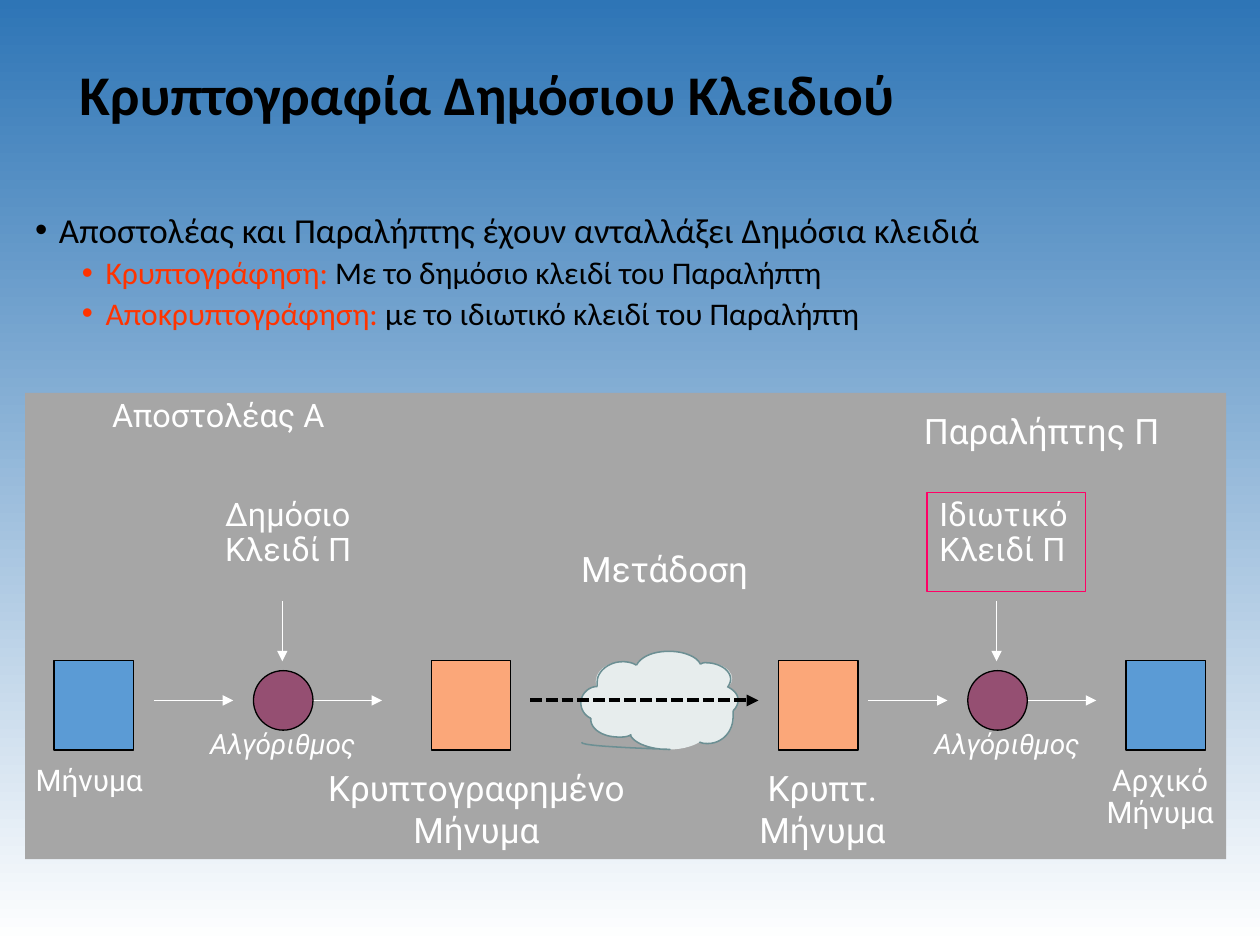
from lxml.etree import SubElement
from pptx import Presentation
from pptx.dml.color import RGBColor
from pptx.enum.dml import MSO_LINE_DASH_STYLE as Dash
from pptx.enum.shapes import MSO_CONNECTOR as Connector, MSO_SHAPE as Shape
from pptx.enum.text import MSO_ANCHOR as Anchor, PP_ALIGN as Align
from pptx.oxml.ns import qn
from pptx.util import Cm, Pt

BLACK = RGBColor(0x00, 0x00, 0x00)
WHITE = RGBColor(0xFF, 0xFF, 0xFF)
SKY = RGBColor(0x2E, 0x75, 0xB6)
GRAY = RGBColor(0xA6, 0xA6, 0xA6)
BLUE = RGBColor(0x5B, 0x9B, 0xD5)
ORANGE = RGBColor(0xFB, 0xA7, 0x79)
PLUM = RGBColor(0x95, 0x4F, 0x72)
PINK = RGBColor(0xFF, 0x00, 0x66)
RED = RGBColor(0xFF, 0x33, 0x00)
MIST = RGBColor(0xE7, 0xED, 0xED)
TEAL = RGBColor(0x6C, 0x8F, 0x93)

STAGE_STEP = 14.4
FLOW_Y = 14.12
LABEL_Y = 15.32

PUFFS = [
    (12.78, 13.13, 1.4, 0.81), (12.01, 13.34, 1.07, 0.81), (11.71, 13.84, 0.71, 0.66),
    (11.91, 14.12, 1.09, 0.74), (12.67, 14.25, 1.63, 0.86), (13.72, 13.36, 1.04, 0.64),
    (13.87, 13.79, 1.02, 0.64), (13.77, 13.92, 1.02, 1.07), (12.27, 13.61, 2.06, 1.07),
]
CLOUD_EDGES = [
    [(12.83, 13.41), (12.93, 13.23), (13.18, 13.13), (13.49, 13.13),
     (13.77, 13.13), (14.05, 13.23), (14.12, 13.39)],
    [(12.04, 13.84), (12.04, 13.82), (12.04, 13.79), (12.04, 13.74), (12.04, 13.54),
     (12.27, 13.34), (12.55, 13.34), (12.65, 13.34), (12.75, 13.36), (12.83, 13.41)],
    [(12.73, 14.81), (12.65, 14.86), (12.55, 14.86), (12.47, 14.86), (12.17, 14.86),
     (11.91, 14.71), (11.91, 14.5), (11.91, 14.48), (11.91, 14.48), (11.91, 14.48)],
    [(14.12, 13.39), (14.17, 13.36), (14.2, 13.36), (14.22, 13.36), (14.5, 13.36),
     (14.73, 13.51), (14.73, 13.69), (14.73, 13.74), (14.71, 13.79), (14.68, 13.84)],
    [(14.66, 13.84), (14.81, 13.92), (14.88, 14), (14.88, 14.12),
     (14.88, 14.17), (14.86, 14.25), (14.78, 14.33)],
    [(14.78, 14.33), (14.78, 14.35), (14.78, 14.4), (14.78, 14.45), (14.78, 14.76),
     (14.55, 14.99), (14.27, 14.99), (14.22, 14.99), (14.17, 14.99), (14.1, 14.96)],
    [(11.91, 14.48), (11.79, 14.43), (11.71, 14.3), (11.71, 14.17),
     (11.71, 14), (11.86, 13.84), (12.04, 13.84)],
    [(11.73, 14.96), (11.58, 15.06), (13.74, 15.11), (13.49, 15.11),
     (13.11, 15.11), (12.78, 14.99), (12.7, 14.81)],
]


def write(paragraph, text, size=20, color=WHITE, font="Roboto", bold=False, italic=False):
    """Append one formatted run to a paragraph."""
    run = paragraph.add_run()
    run.text = text
    run.font.name, run.font.size = font, Pt(size)
    run.font.bold, run.font.italic = bold, italic
    run.font.color.rgb = color


def fill_frame(frame, lines, align=Align.CENTER, spacing=1.0, anchor=Anchor.TOP, **style):
    """Write lines of uniform text into a wrapping frame."""
    frame.word_wrap = True
    frame.vertical_anchor = anchor
    for index, line in enumerate(lines):
        paragraph = frame.add_paragraph() if index else frame.paragraphs[0]
        paragraph.alignment = align
        paragraph.line_spacing = spacing
        write(paragraph, line, **style)


def add_label(slide, place, *lines, **style):
    """Add a text box at a place given in centimetres."""
    label = slide.shapes.add_textbox(*map(Cm, place))
    fill_frame(label.text_frame, lines, **style)


def add_block(shapes, preset, place, fill=None, outline=None):
    """Add a flat preset shape with optional fill and outline."""
    block = shapes.add_shape(preset, *map(Cm, place))
    block.shadow.inherit = False
    if fill is None:
        block.fill.background()
    else:
        block.fill.solid()
        block.fill.fore_color.rgb = fill
    if outline is None:
        block.line.fill.background()
    else:
        block.line.color.rgb = outline
        block.line.width = Pt(0.75)
    return block


def add_arrow(slide, start, end, color=WHITE, width=0.75, dash=None):
    """Add a straight arrow with a triangular head."""
    arrow = slide.shapes.add_connector(Connector.STRAIGHT, *map(Cm, start + end))
    arrow.line.color.rgb = color
    arrow.line.width = Pt(width)
    if dash is not None:
        arrow.line.dash_style = dash
    SubElement(arrow.line._get_or_add_ln(), qn("a:tailEnd"), type="triangle")
    SubElement(arrow._element.spPr, qn("a:effectLst"))


def curve_points(controls, steps=12):
    """Sample a chain of cubic curves as points in EMU."""
    points = [controls[0]]
    for first in range(0, len(controls) - 1, 3):
        a, b, c, d = controls[first:first + 4]
        for t in (step / steps for step in range(1, steps + 1)):
            u = 1 - t
            weights = (u ** 3, 3 * u * u * t, 3 * u * t * t, t ** 3)
            points.append(tuple(sum(w * p[axis] for w, p in zip(weights, (a, b, c, d)))
                                for axis in (0, 1)))
    return [(Cm(x), Cm(y)) for x, y in points]


def add_cloud(slide):
    """Add the transmission cloud as puffs with curved edges."""
    cloud = slide.shapes.add_group_shape().shapes
    for puff in PUFFS:
        add_block(cloud, Shape.OVAL, puff, MIST)
    for controls in CLOUD_EDGES:
        start, *rest = curve_points(controls)
        builder = cloud.build_freeform(*start)
        builder.add_line_segments(rest, close=False)
        edge = builder.convert_to_shape()
        edge.shadow.inherit = False
        edge.fill.background()
        edge.line.color.rgb = TEAL
        edge.line.width = Pt(0.88)


def add_stage(slide, offset, label_left):
    """Add an algorithm circle with its three arrows and label."""
    add_arrow(slide, (offset + 3.1, FLOW_Y), (offset + 4.7, FLOW_Y))
    add_arrow(slide, (offset + 6.1, FLOW_Y), (offset + 7.7, FLOW_Y))
    add_arrow(slide, (offset + 5.69, 12.12), (offset + 5.69, 13.33))
    add_block(slide.shapes, Shape.OVAL, (offset + 5.11, 13.52, 1.2, 1.2), PLUM, BLACK)
    add_label(slide, (label_left, 14.53, 4.39, 1.4), "Αλγόριθμος", size=16, italic=True)


def add_bullets(slide):
    """Add the bulleted explanation of the key exchange."""
    items = [
        (0.48, 20, BLACK, [("Αποστολέας και Παραλήπτης έχουν ανταλλάξει Δημόσια κλειδιά", BLACK)]),
        (1.42, 18, RED, [("Κρυπτογράφηση:", RED), (" Με το δημόσιο κλειδί του Παραλήπτη", BLACK)]),
        (1.42, 18, RED, [("Αποκρυπτογράφηση:", RED), (" με το ιδιωτικό κλειδί του Παραλήπτη", BLACK)]),
    ]
    frame = slide.shapes.add_textbox(Cm(0.46), Cm(4.17), Cm(23.62), Cm(3.75)).text_frame
    frame.word_wrap = True
    for index, (indent, size, bullet_color, parts) in enumerate(items):
        paragraph = frame.add_paragraph() if index else frame.paragraphs[0]
        properties = paragraph._p.get_or_add_pPr()
        properties.set("marL", str(Cm(indent)))
        properties.set("indent", str(Cm(-0.48)))
        tint = SubElement(properties, qn("a:buClr"))
        SubElement(tint, qn("a:srgbClr"), val=str(bullet_color))
        SubElement(properties, qn("a:buFont"), typeface="Arial")
        SubElement(properties, qn("a:buChar"), char="•")
        paragraph.level = min(index, 1)
        paragraph.line_spacing = 0.9
        if index:
            paragraph.space_before = Pt(3.7)
        for text, color in parts:
            write(paragraph, text, size=size, color=color, font="Calibri")


def main():
    """Build the public key cryptography slide."""
    deck = Presentation()
    deck.slide_width, deck.slide_height = Cm(25.4), Cm(19.05)
    slide = deck.slides.add_slide(deck.slide_layouts[6])
    sky = slide.background.fill
    sky.gradient()
    sky.gradient_angle = 270
    for stop, color in zip(sky.gradient_stops, (SKY, WHITE)):
        stop.color.rgb = color

    add_block(slide.shapes, Shape.RECTANGLE, (0.51, 7.92, 24.21, 9.4), GRAY)
    add_label(slide, (1.35, 1.27, 22.86, 1.37), "Κρυπτογραφία Δημόσιου Κλειδιού", align=Align.LEFT,
              spacing=0.9, anchor=Anchor.MIDDLE, size=32, color=BLACK, font="Calibri", bold=True)
    add_bullets(slide)

    for left, fill in ((1.09, BLUE), (8.7, ORANGE), (15.7, ORANGE), (22.7, BLUE)):
        add_block(slide.shapes, Shape.RECTANGLE, (left, 13.32, 1.6, 1.8), fill, BLACK)
    add_label(slide, (0.3, LABEL_Y, 3, 1.4), "Μήνυμα", spacing=0.9, size=17)
    add_label(slide, (6.1, LABEL_Y, 7.01, 2.18), "Κρυπτογραφημένο", "Μήνυμα")
    add_label(slide, (14.88, LABEL_Y, 3.4, 2.18), "Κρυπτ.", "Μήνυμα")
    add_label(slide, (21.89, LABEL_Y, 3, 2), "Αρχικό", "Μήνυμα", spacing=0.9, size=17)

    add_cloud(slide)
    add_label(slide, (10.9, 10.92, 5, 1.4), "Μετάδοση")
    add_arrow(slide, (10.69, FLOW_Y), (15.29, FLOW_Y), BLACK, 2.25, Dash.SQUARE_DOT)

    add_stage(slide, 0, 3.51)
    add_stage(slide, STAGE_STEP, 18.11)
    key_style = dict(align=Align.LEFT, spacing=0.9, size=18.5)
    add_label(slide, (4.29, 9.93, 3.2, 2), "Δημόσιο Κλειδί Π", **key_style)
    private_key = add_block(slide.shapes, Shape.RECTANGLE, (4.29 + STAGE_STEP, 9.93, 3.2, 2), outline=PINK)
    fill_frame(private_key.text_frame, ["Ιδιωτικό Κλειδί Π"], **key_style)

    add_label(slide, (1.9, 7.92, 5, 1.4), "Αποστολέας Α", spacing=0.9, size=18.5)
    add_label(slide, (17.7, 8.13, 6.6, 1.4), "Παραλήπτης Π")
    deck.save("out.pptx")


if __name__ == "__main__":
    main()
